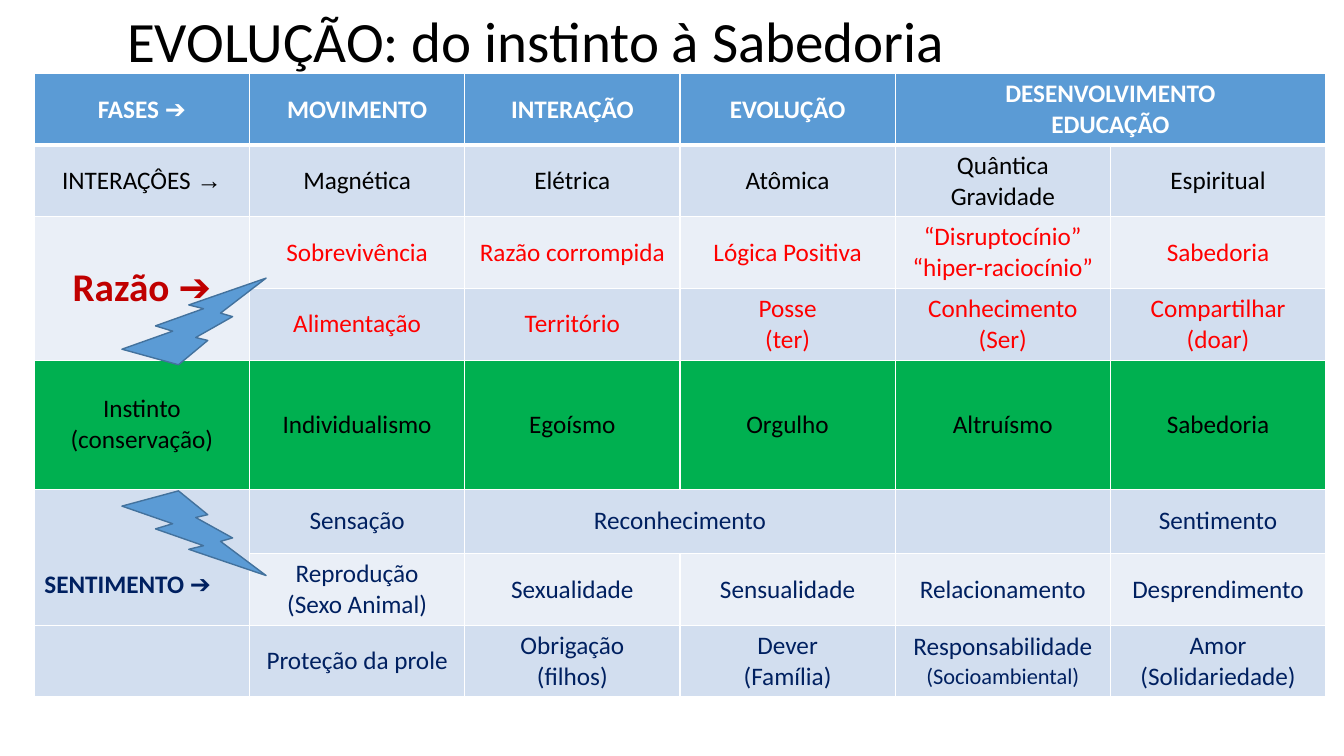
from lxml import etree
from pptx import Presentation
from pptx.dml.color import RGBColor
from pptx.enum.shapes import MSO_SHAPE
from pptx.enum.text import MSO_ANCHOR, MSO_AUTO_SIZE, PP_ALIGN
from pptx.oxml.ns import qn
from pptx.util import Inches, Pt

COLORS = {
    "white": "FFFFFF", "black": "000000", "blue": "5B9BD5", "outline": "43729D",
    "band": "D2DEEF", "pale": "EAEFF7", "green": "00B050",
    "red": "FF0000", "dark red": "C00000", "navy": "002060",
}
ARROWS = "➔→"

# height, fill, text colour, cell texts (one paragraph per line)
ROWS = [
    (0.71, "blue", "white", ["FASES ➔", "MOVIMENTO", "INTERAÇÃO", "EVOLUÇÃO",
                             "DESENVOLVIMENTO\nEDUCAÇÃO", ""]),
    (0.71, "band", "black", ["INTERAÇÔES →", "Magnética", "Elétrica", "Atômica",
                             "Quântica Gravidade", "Espiritual"]),
    (0.71, "pale", "red", ["Razão ➔", "Sobrevivência", "Razão corrompida", "Lógica Positiva",
                           "“Disruptocínio”\n“hiper-raciocínio”", "Sabedoria"]),
    (0.71, "band", "red", ["", "Alimentação", "Território", "Posse\n(ter)",
                           "Conhecimento (Ser)", "Compartilhar (doar)"]),
    (1.28, "green", "black", ["Instinto (conservação)", "Individualismo", "Egoísmo", "Orgulho",
                              "Altruísmo", "Sabedoria"]),
    (0.64, "band", "navy", ["SENTIMENTO ➔", "Sensação", "Reconhecimento", "", "", "Sentimento"]),
    (0.71, "pale", "navy", ["", "Reprodução\n(Sexo Animal)", "Sexualidade", "Sensualidade",
                            "Relacionamento", "Desprendimento"]),
    (0.71, "band", "navy", ["", "Proteção da prole", "Obrigação\n(filhos)", "Dever\n(Família)",
                            "Responsabilidade\n(Socioambiental)", "Amor\n(Solidariedade)"]),
]
MERGES = [((0, 4), (0, 5)), ((2, 0), (3, 0)), ((5, 0), (6, 0)), ((5, 2), (5, 3))]


def rgb(name):
    return RGBColor.from_string(COLORS[name])


def add_border(cell, side, points):
    line = etree.SubElement(cell._tc.get_or_add_tcPr(), qn(f"a:ln{side}"), w=str(Pt(points)))
    fill = etree.SubElement(line, qn("a:solidFill"))
    etree.SubElement(fill, qn("a:srgbClr"), val=COLORS["white"])


deck = Presentation()
deck.slide_width, deck.slide_height = Inches(13.33), Inches(7.5)
page = deck.slides.add_slide(deck.slide_layouts[5])

title = page.shapes.title
title.left, title.top, title.width, title.height = map(Inches, (1.16, 0.17, 10.17, 0.62))
frame = title.text_frame
frame.text = "EVOLUÇÃO: do instinto à Sabedoria"
frame.auto_size = MSO_AUTO_SIZE.NONE
frame.vertical_anchor = MSO_ANCHOR.MIDDLE
para = frame.paragraphs[0]
para.alignment = PP_ALIGN.LEFT
para.line_spacing = 0.7
para.font.size, para.font.name = Pt(40.7), "Calibri"
para.font.color.rgb = rgb("black")

table = page.shapes.add_table(len(ROWS), 6, Inches(0.34), Inches(0.73),
                              Inches(12.81), Inches(6.18)).table
for column in table.columns:
    column.width = Inches(2.135)

for r, (height, fill, color, texts) in enumerate(ROWS):
    table.rows[r].height = Inches(height)
    for c, text in enumerate(texts):
        cell = table.cell(r, c)
        cell.vertical_anchor = MSO_ANCHOR.MIDDLE
        for side in "LRTB":
            under_header = (r, side) in ((0, "B"), (1, "T"))
            add_border(cell, side, 3 if under_header else 0.96)
        cell.fill.solid()
        cell.fill.fore_color.rgb = rgb(fill)
        for i, words in enumerate(text.split("\n")):
            frame = cell.text_frame
            para = frame.add_paragraph() if i else frame.paragraphs[0]
            label = words.rstrip(ARROWS)
            if label:
                para.add_run().text = label
            if label != words:
                arrow = para.add_run()
                arrow.text = words[len(label):]
                arrow.font.name = "Arial"
            para.alignment = PP_ALIGN.CENTER
            para.font.name, para.font.size = "Calibri", Pt(18)
            para.font.bold = r == 0
            para.font.color.rgb = rgb(color)

for first, last in MERGES:
    table.cell(*first).merge(table.cell(*last))

reason = table.cell(2, 0).text_frame.paragraphs[0]
reason.font.size, reason.font.bold = Pt(28), True
reason.font.color.rgb = rgb("dark red")

feeling = table.cell(5, 0)
feeling.vertical_anchor = MSO_ANCHOR.BOTTOM
feeling.margin_bottom = Inches(0.25)
feeling.text_frame.paragraphs[0].alignment = PP_ALIGN.LEFT
feeling.text_frame.paragraphs[0].font.bold = True

table.cell(7, 4).text_frame.paragraphs[1].font.size = Pt(16)

for top, height, flipped in ((4.87, 0.84, False), (2.76, 0.86, True)):
    bolt = page.shapes.add_shape(MSO_SHAPE.LIGHTNING_BOLT, Inches(1.21), Inches(top),
                                 Inches(1.43), Inches(height))
    bolt.shadow.inherit = False
    bolt.fill.solid()
    bolt.fill.fore_color.rgb = rgb("blue")
    bolt.line.color.rgb = rgb("outline")
    bolt.line.width = Pt(1)
    if flipped:
        bolt._element.spPr.find(qn("a:xfrm")).set("flipV", "1")

deck.save("out.pptx")
